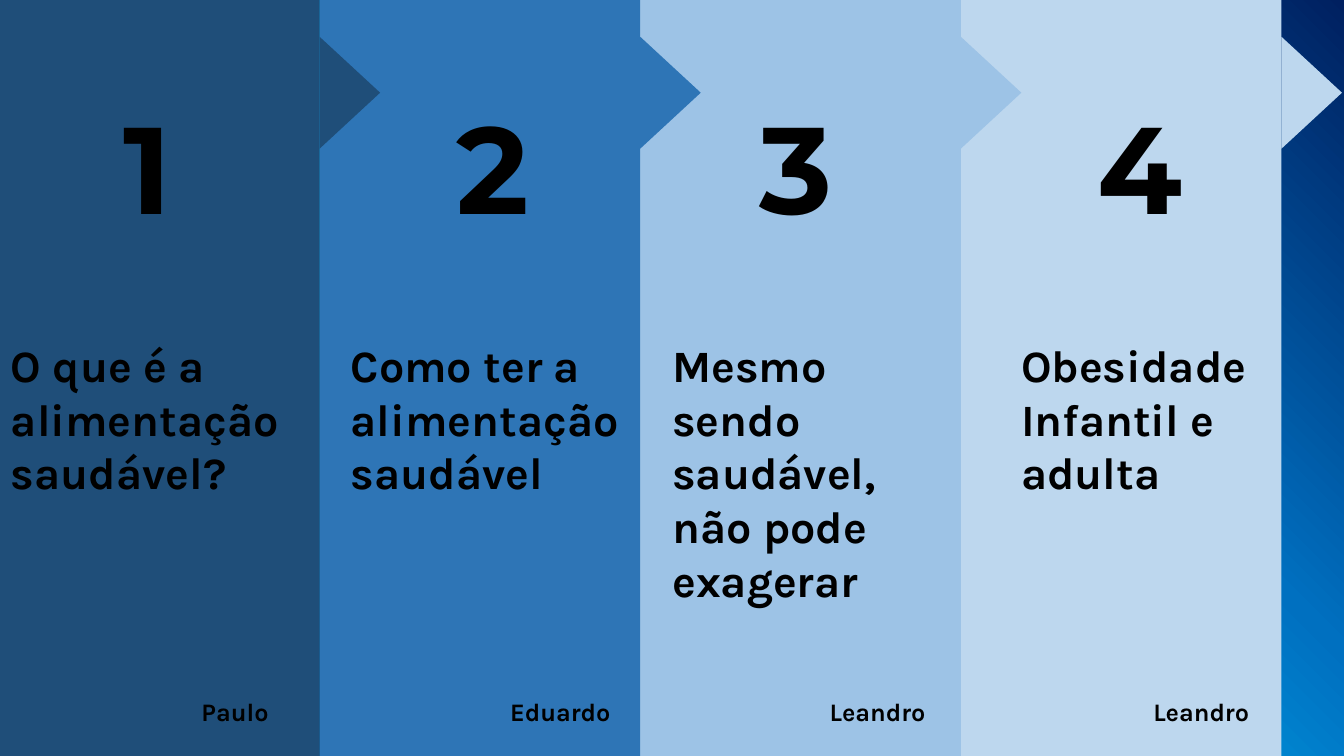
from dataclasses import dataclass

from lxml import etree
from pptx import Presentation
from pptx.dml.color import RGBColor
from pptx.enum.shapes import MSO_SHAPE
from pptx.enum.text import MSO_AUTO_SIZE, PP_ALIGN
from pptx.oxml.ns import qn
from pptx.util import Inches, Pt

RECT, TRI = MSO_SHAPE.RECTANGLE, MSO_SHAPE.ISOSCELES_TRIANGLE
LEFT, CENTER = PP_ALIGN.LEFT, PP_ALIGN.CENTER
GROW = MSO_AUTO_SIZE.SHAPE_TO_FIT_TEXT

# topic lines, speaker, and the left edges of number, topic and speaker
PANELS = [
    ("O que é a alimentação saudável?", "Paulo", (0.92, 0.01, 1.9)),
    ("Como ter a alimentação saudável", "Eduardo", (4.35, 3.38, 4.96)),
    ("Mesmo\nsendo\nsaudável,\nnão pode\nexagerar", "Leandro",
     (7.35, 6.57, 8.13)),
    ("Obesidade\nInfantil e\nadulta", "Leandro", (10.77, 10.03, 11.34)),
]


@dataclass(frozen=True)
class Theme:
    fills: tuple = ("1F4E79", "2E75B6", "9DC3E6", "BDD7EE")
    back: tuple = ((0, "002060"), (31, "0070C0"), (56, "00B0F0"),
                   (100, "004890"))
    ink: str = "000000"
    head: str = "Montserrat"
    body: str = "Karla"
    big: int = 88
    mid: int = 32
    small: int = 18


THEME = Theme()
WIDE, HIGH = 13.33, 7.5
START, STEP = -0.01, 3.18
TIP_W, TIP_H, TIP_TOP = 1.11, 0.6, 0.62


def paint_back(slide):
    """Fill the background with a gradient from top right to bottom left."""
    fill = slide.background.fill
    fill.gradient()
    fill.gradient_angle = 225
    stops = slide.element.find(".//" + qn("a:gsLst"))
    for stop in list(stops):
        stops.remove(stop)
    for share, color in THEME.back:
        stop = etree.SubElement(stops, qn("a:gs"), pos=str(share * 1000))
        etree.SubElement(stop, qn("a:srgbClr"), val=color)


def add_part(group, kind, box, color):
    part = group.shapes.add_shape(kind, *map(Inches, box))
    part.shadow.inherit = False
    part.fill.solid()
    part.fill.fore_color.rgb = RGBColor.from_string(color)
    part.line.fill.background()
    return part


def add_panel(slide, col):
    """Add a column with an arrow tip on its right edge."""
    group = slide.shapes.add_group_shape()
    left, color = START + col * STEP, THEME.fills[col]
    add_part(group, RECT, (left, 0, STEP, HIGH), color)
    tip_left = left + STEP - (TIP_W - TIP_H) / 2
    tip = add_part(group, TRI, (tip_left, TIP_TOP, TIP_W, TIP_H), color)
    tip.rotation = 90


def add_text(slide, text, box, font, size, align=LEFT):
    frame = slide.shapes.add_textbox(*map(Inches, box)).text_frame
    frame.word_wrap = True
    frame.auto_size = GROW
    frame.text = text
    for para in frame.paragraphs:
        para.alignment = align
        for run in para.runs:
            run.font.name = font
            run.font.size = Pt(size)
            run.font.bold = True
            run.font.color.rgb = RGBColor.from_string(THEME.ink)


def main():
    deck = Presentation()
    deck.slide_width, deck.slide_height = Inches(WIDE), Inches(HIGH)
    slide = deck.slides.add_slide(deck.slide_layouts[6])
    paint_back(slide)
    for col in reversed(range(len(PANELS))):
        add_panel(slide, col)
    for num, (topic, name, (num_x, topic_x, name_x)) in enumerate(PANELS, 1):
        tall = 3.33 if topic.count("\n") > 2 else 2.26
        add_text(slide, str(num), (num_x, 0.86, 1.08, 1.58),
                 THEME.head, THEME.big, CENTER)
        add_text(slide, topic, (topic_x, 3.3, 3.8, tall),
                 THEME.body, THEME.mid)
        add_text(slide, name, (name_x, 6.86, 1.38, 0.4),
                 THEME.body, THEME.small)
    deck.save("out.pptx")


if __name__ == "__main__":
    main()
